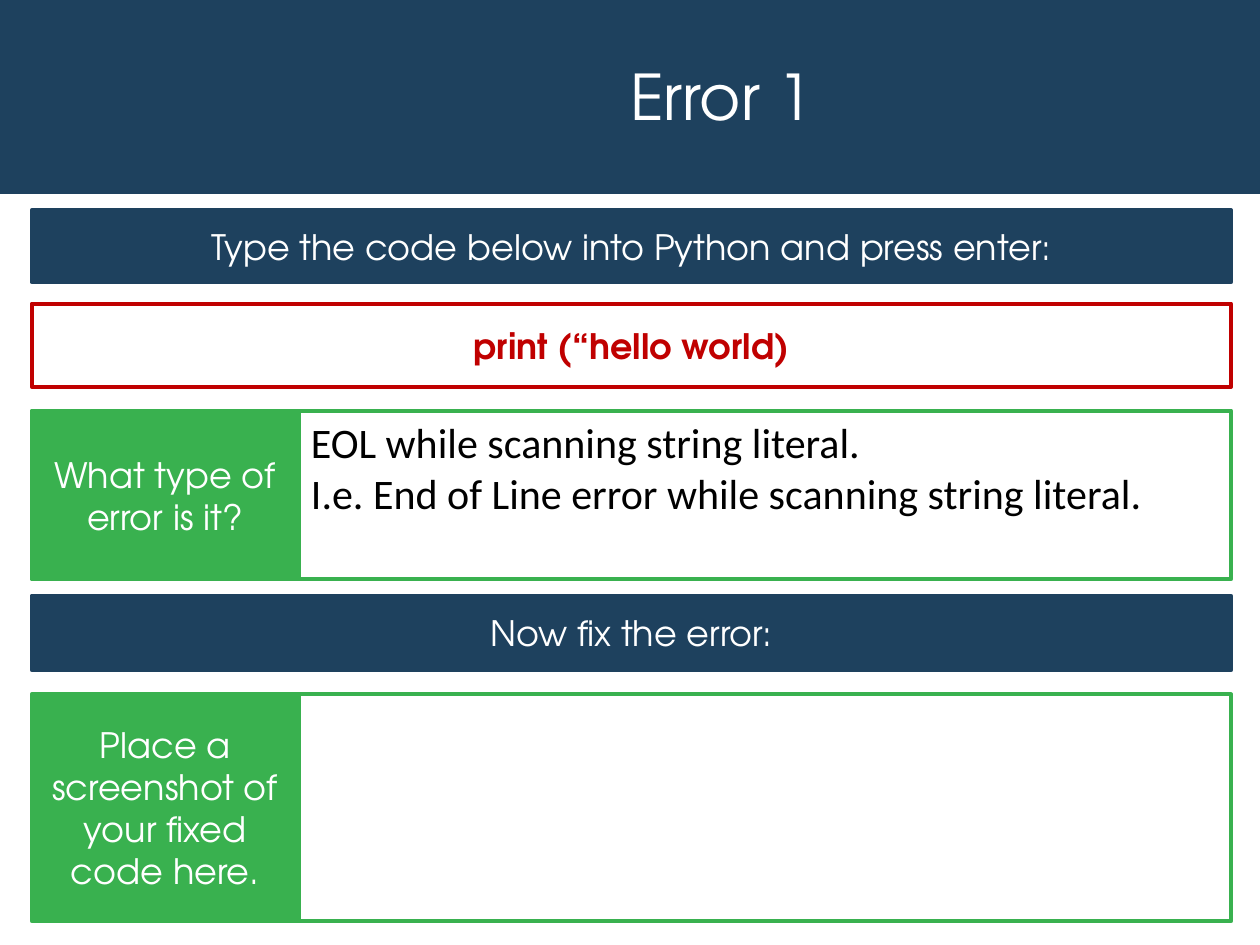
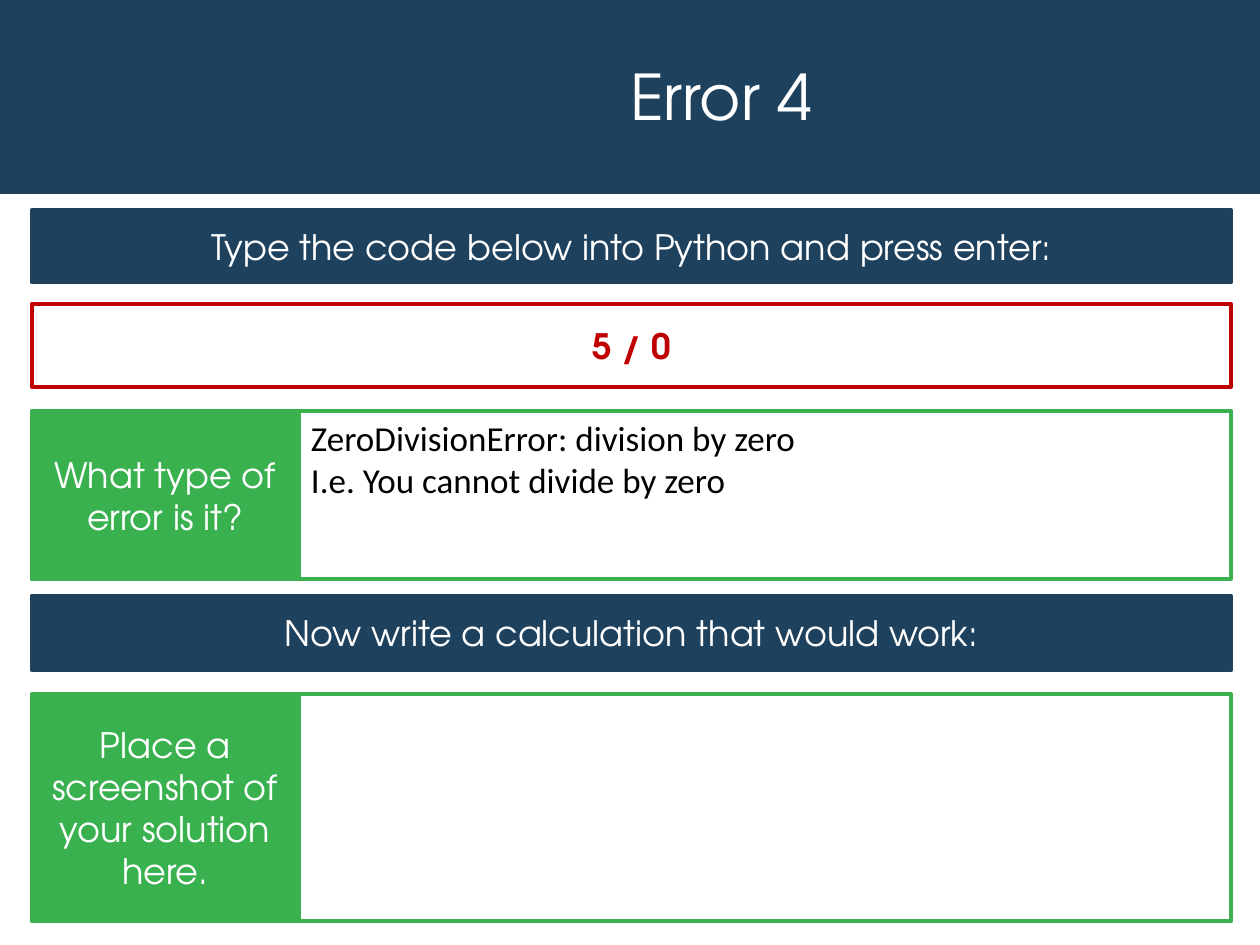
from pptx import Presentation
from pptx.dml.color import RGBColor
from pptx.enum.shapes import MSO_SHAPE
from pptx.enum.text import MSO_ANCHOR, MSO_AUTO_SIZE, PP_ALIGN
from pptx.util import Cm, Pt

# Content
INSTRUCTION = "Type the code below into Python and press enter:"
QUESTION = "What type of error is it?"
ERRORS = [
    {
        "title": "Error 1",
        "code": "print (\u201chello world)",
        "answer": ["EOL while scanning string literal.",
                   "I.e. End of Line error while scanning string literal."],
        "answer_size": 24, "answer_width": 18.8, "answer_height": 2.31,
        "task": "Now fix the error:",
        "request": "Place a screenshot of your fixed code here.",
    },
    {
        "title": "Error 4",
        "code": "5 / 0",
        "answer": ["ZeroDivisionError: division by zero",
                   "I.e. You cannot divide by zero"],
        "answer_size": 20, "answer_width": 11.38, "answer_height": 1.96,
        "task": "Now write a calculation that would work:",
        "request": "Place a screenshot of your solution here.",
    },
]

# Shared look
NAVY = RGBColor(0x1E, 0x41, 0x5E)
GREEN = RGBColor(0x39, 0xB1, 0x4F)
RED = RGBColor(0xC0, 0x00, 0x00)
WHITE = RGBColor(0xFF, 0xFF, 0xFF)
BLACK = RGBColor(0x00, 0x00, 0x00)
HEADING_FONT, ANSWER_FONT = "TeX Gyre Adventor", "Calibri"
TITLE_STYLE = {"name": HEADING_FONT, "size": Pt(36), "bold": False}
LABEL_STYLE = {"name": HEADING_FONT, "size": Pt(20), "bold": False}
CODE_STYLE = LABEL_STYLE | {"bold": True}

# Layout in centimetres: each row has a top and a height
SLIDE_WIDTH, SLIDE_HEIGHT = 25.4, 19.05
BAND_HEIGHT = 3.91
TITLE_AREA = (3.68, 0.61, 21.72, 2.82)
LEFT, LABEL_WIDTH, ANSWER_WIDTH = 0.64, 5.38, 18.8
ANSWER_LEFT = LEFT + LABEL_WIDTH
FULL_WIDTH = LABEL_WIDTH + ANSWER_WIDTH
ROWS = {
    "instruction": (4.24, 1.45),
    "code": (6.12, 1.68),
    "question": (8.28, 3.4),
    "task": (12.01, 1.5),
    "request": (14.0, 4.57),
}


def write(shape, lines, style, color, align):
    frame = shape.text_frame
    frame.word_wrap = True
    frame.text = "\n".join(lines)
    for para in frame.paragraphs:
        para.alignment = align
        for span in para.runs:
            for name, value in style.items():
                setattr(span.font, name, value)
            span.font.color.rgb = color


def add_box(slide, left, top, width, height, fill=None, line=None):
    box = slide.shapes.add_shape(MSO_SHAPE.RECTANGLE, Cm(left), Cm(top), Cm(width), Cm(height))
    box.shadow.inherit = False
    if fill is None:
        box.fill.background()
    else:
        box.fill.solid()
        box.fill.fore_color.rgb = fill
    if line is None:
        box.line.fill.background()
    else:
        box.line.color.rgb = line
        box.line.width = Pt(2.25)
    return box


def add_label(slide, row, text, width, fill, line, style=LABEL_STYLE, color=WHITE):
    top, height = ROWS[row]
    box = add_box(slide, LEFT, top, width, height, fill, line)
    box.text_frame.vertical_anchor = MSO_ANCHOR.MIDDLE
    write(box, [text], style, color, PP_ALIGN.CENTER)


def add_answer_row(slide, row, label):
    top, height = ROWS[row]
    add_box(slide, ANSWER_LEFT, top, ANSWER_WIDTH, height, line=GREEN)
    add_label(slide, row, label, LABEL_WIDTH, GREEN, GREEN)


def add_answer(slide, error):
    box = slide.shapes.add_textbox(Cm(ANSWER_LEFT), Cm(ROWS["question"][0]),
                                   Cm(error["answer_width"]), Cm(error["answer_height"]))
    style = {"name": ANSWER_FONT, "size": Pt(error["answer_size"])}
    write(box, error["answer"], style, BLACK, PP_ALIGN.LEFT)
    box.text_frame.auto_size = MSO_AUTO_SIZE.SHAPE_TO_FIT_TEXT


deck = Presentation()
deck.slide_width, deck.slide_height = Cm(SLIDE_WIDTH), Cm(SLIDE_HEIGHT)

# Title position shared through the layout
layout = deck.slide_layouts.get_by_name("Title Only")
layout_title = layout.placeholders[0]
for name, value in zip(("left", "top", "width", "height"), TITLE_AREA):
    setattr(layout_title, name, Cm(value))

# Slides
for number, error in enumerate(ERRORS):
    page = deck.slides.add_slide(layout)
    if number == 0:
        # The band moves into the layout, behind every title
        band = add_box(page, 0, 0, SLIDE_WIDTH, BAND_HEIGHT, fill=NAVY)
        layout.shapes.element.insert(2, band.element)

    title = page.shapes.title
    write(title, [error["title"]], TITLE_STYLE, WHITE, PP_ALIGN.CENTER)
    title.text_frame.vertical_anchor = MSO_ANCHOR.MIDDLE
    title.text_frame.auto_size = MSO_AUTO_SIZE.NONE
    title.text_frame.paragraphs[0].line_spacing = 0.9

    add_label(page, "instruction", INSTRUCTION, FULL_WIDTH, NAVY, NAVY)
    add_label(page, "code", error["code"], FULL_WIDTH, None, RED, CODE_STYLE, RED)
    add_answer_row(page, "question", QUESTION)
    add_answer(page, error)
    add_label(page, "task", error["task"], FULL_WIDTH, NAVY, NAVY)
    add_answer_row(page, "request", error["request"])

deck.save("out.pptx")
